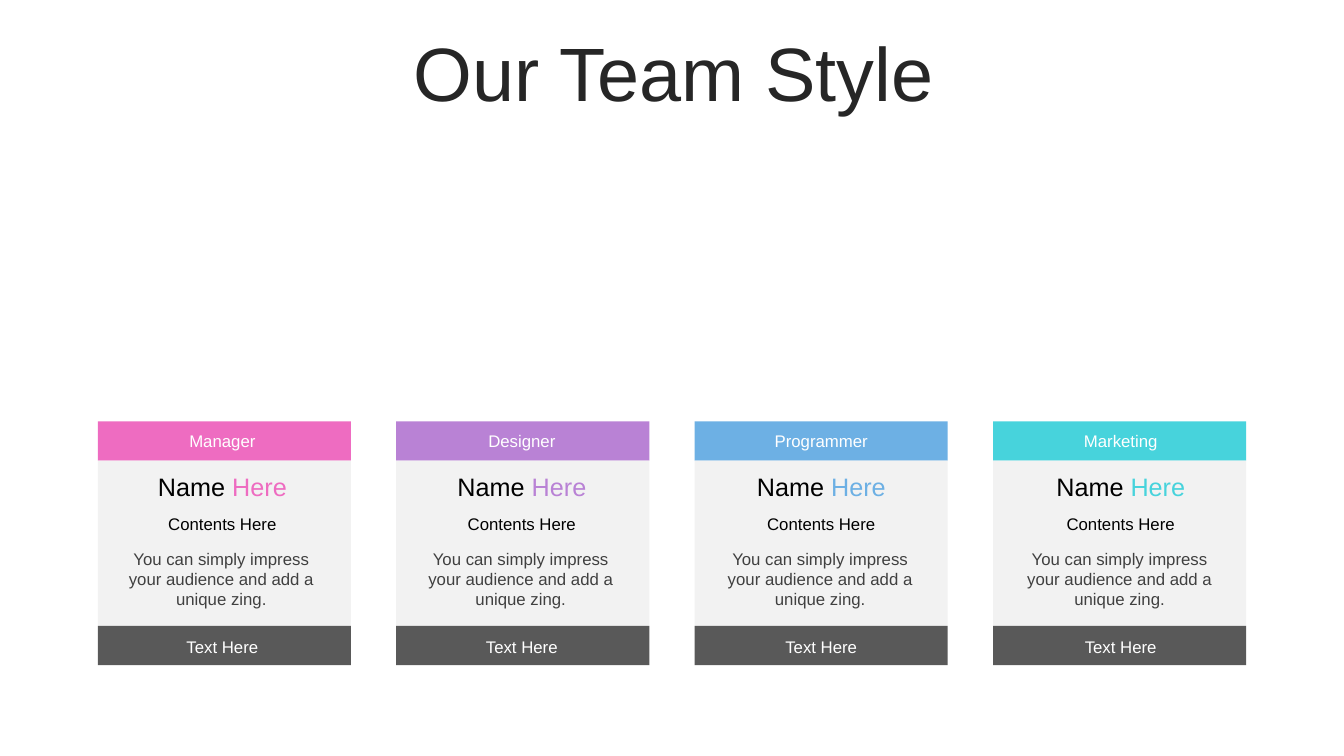
from dataclasses import dataclass

from pptx import Presentation
from pptx.dml.color import RGBColor
from pptx.enum.shapes import MSO_SHAPE as Preset
from pptx.enum.text import MSO_ANCHOR as Anchor, PP_ALIGN as Align
from pptx.util import Inches, Pt

TITLE = "Our Team Style"
MEMBERS = [
    ("Manager", "EE6CC1"),
    ("Designer", "B982D5"),
    ("Programmer", "6DB0E4"),
    ("Marketing", "47D3DC"),
]
NAME = ("Name ", "Here")
SUBTITLE = "Contents Here"
DESCRIPTION = "You can simply impress your audience and add a unique zing."
FOOTER = "Text Here"


@dataclass(frozen=True)
class Theme:
    font: str = "Arial"
    title: str = "262626"
    panel: str = "F2F2F2"
    footer: str = "595959"
    body: str = "404040"
    black: str = "000000"
    white: str = "FFFFFF"
    title_size: int = 54
    name_size: int = 18
    text_size: int = 12


THEME = Theme()
CARD_LEFT, CARD_WIDTH, CARD_PITCH = 0.97, 2.51, 2.96
TEXT_LEFT, TEXT_WIDTH, TEXT_PITCH = 1.12, 2.15, 2.97
LABEL_INSET, BODY_INSET = 0.12, 0.1


def add_band(slide, left, top, height, color):
    shape = slide.shapes.add_shape(
        Preset.RECTANGLE, Inches(left), Inches(top), Inches(CARD_WIDTH), Inches(height)
    )
    shape.shadow.inherit = False
    shape.fill.solid()
    shape.fill.fore_color.rgb = RGBColor.from_string(color)
    shape.line.fill.background()


def add_text(slide, box, runs, size, anchor=Anchor.MIDDLE, inset=LABEL_INSET, spacing=None):
    frame = slide.shapes.add_textbox(*map(Inches, box)).text_frame
    frame_format = {
        "word_wrap": True,
        "vertical_anchor": anchor,
        "margin_left": Inches(inset),
        "margin_right": Inches(0.1),
        "margin_top": Inches(0.05),
        "margin_bottom": Inches(0.05),
    }
    for name, value in frame_format.items():
        setattr(frame, name, value)
    paragraph = frame.paragraphs[0]
    paragraph.alignment = Align.CENTER
    paragraph.line_spacing = spacing
    for text, color in runs:
        run = paragraph.add_run()
        run.text = text
        run.font.name = THEME.font
        run.font.size = Pt(size)
        run.font.color.rgb = RGBColor.from_string(color)


def add_member(slide, index, role, accent):
    card_left = CARD_LEFT + index * CARD_PITCH
    bands = [(4.18, 0.39, accent), (4.57, 1.64, THEME.panel), (6.21, 0.39, THEME.footer)]
    for top, height, color in bands:
        add_band(slide, card_left, top, height, color)

    text_left = TEXT_LEFT + index * TEXT_PITCH
    first, last = NAME
    labels = [
        (4.23, 0.29, [(role, THEME.white)], THEME.text_size),
        (4.65, 0.36, [(first, THEME.black), (last, accent)], THEME.name_size),
        (5.08, 0.24, [(SUBTITLE, THEME.black)], THEME.text_size),
        (6.3, 0.24, [(FOOTER, THEME.white)], THEME.text_size),
    ]
    for top, height, runs, size in labels:
        add_text(slide, (text_left, top, TEXT_WIDTH, height), runs, size)
    add_text(
        slide, (text_left, 5.39, TEXT_WIDTH, 0.71), [(DESCRIPTION, THEME.body)],
        THEME.text_size, Anchor.TOP, BODY_INSET,
    )


def main():
    presentation = Presentation()
    presentation.slide_width = Inches(13.33)
    presentation.slide_height = Inches(7.5)
    slide = presentation.slides.add_slide(presentation.slide_layouts[6])
    add_text(
        slide, (0.35, 0.37, 12.66, 0.79), [(TITLE, THEME.title)],
        THEME.title_size, inset=BODY_INSET, spacing=0.9,
    )
    for index, (role, accent) in enumerate(MEMBERS):
        add_member(slide, index, role, accent)
    presentation.save("out.pptx")


if __name__ == "__main__":
    main()
